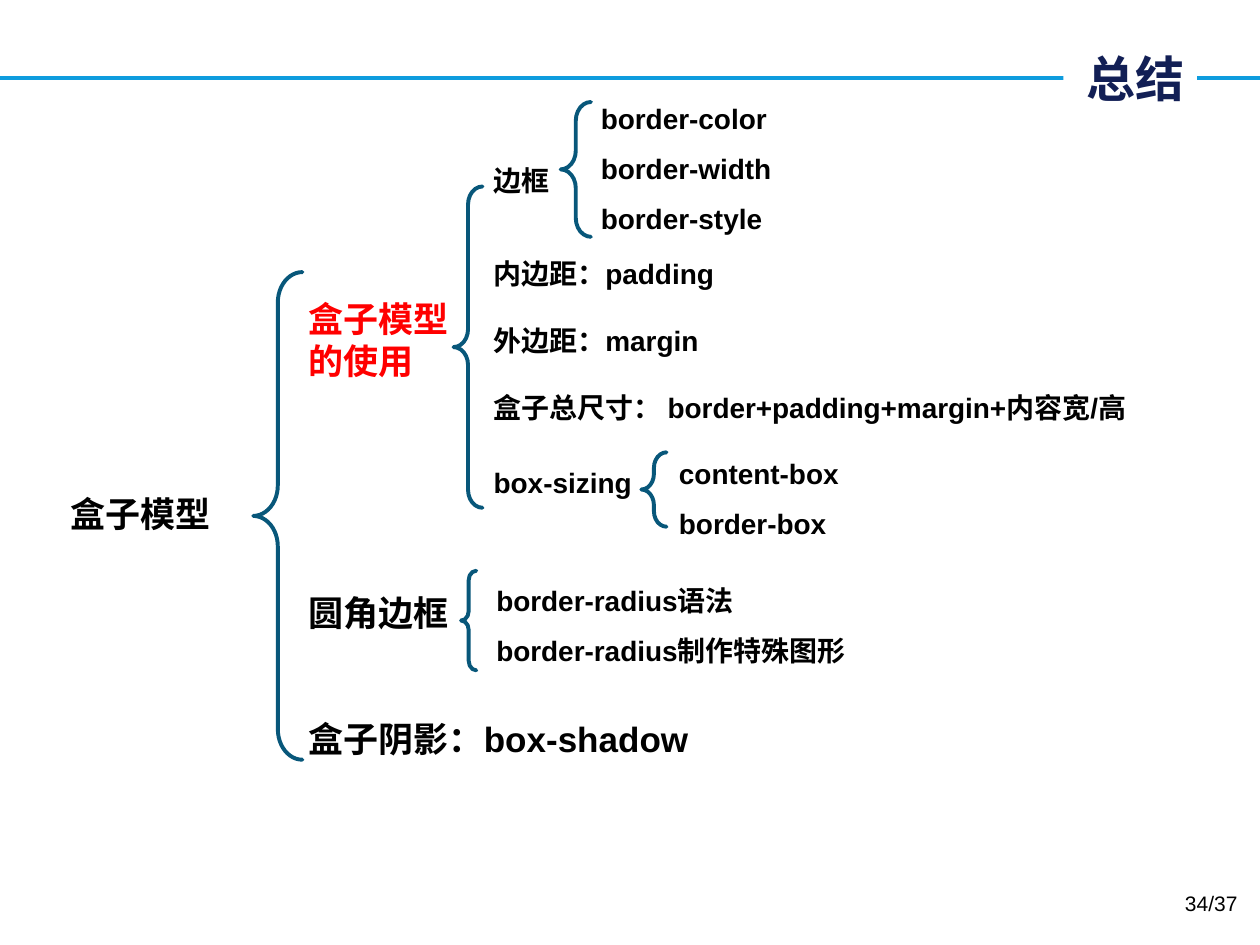
from lxml import etree
from pptx import Presentation
from pptx import util as u
from pptx.dml.color import RGBColor
from pptx.enum import shapes, text
from pptx.oxml.ns import qn

BLACK = RGBColor(0x00, 0x00, 0x00)
WHITE = RGBColor(0xFF, 0xFF, 0xFF)
RED = RGBColor(0xFF, 0x00, 0x00)
NAVY = RGBColor(0x12, 0x1F, 0x55)
SKY = RGBColor(0x0E, 0x9C, 0xDE)
TEAL = RGBColor(0x08, 0x57, 0x7A)
LATIN, CHINESE = "Arial", "Noto Sans CJK SC"
LEFT, CENTER, RIGHT = text.PP_ALIGN.LEFT, text.PP_ALIGN.CENTER, text.PP_ALIGN.RIGHT
STROKE = u.Pt(2.25)


def place(box, at):
    """Set left, top, width and height of a box in inches."""
    for name, value in zip(("left", "top", "width", "height"), at):
        setattr(box, name, u.Inches(value))


class MindMap:
    """Holds the style and the current slide."""

    def __init__(self, deck):
        self.page = deck.slides.add_slide(deck.slide_layouts[5])

    def add_span(self, para, words, size, color=BLACK, bold=True, font=LATIN):
        """Add one formatted span to a paragraph."""
        span = para.add_run()
        span.text = words
        style = {"name": font, "size": u.Pt(size), "bold": bold}
        for name, value in style.items():
            setattr(span.font, name, value)
        span.font.color.rgb = color
        east_asian = etree.SubElement(span.font._element, qn("a:ea"))
        east_asian.set("typeface", CHINESE)

    def title(self, words, at):
        """Format the title placeholder as a white label on the rule."""
        box = self.page.shapes.title
        place(box, at)
        box.fill.solid()
        box.fill.fore_color.rgb = WHITE
        frame = box.text_frame
        frame.auto_size = text.MSO_AUTO_SIZE.NONE
        frame.vertical_anchor = text.MSO_ANCHOR.MIDDLE
        para = frame.paragraphs[0]
        para.alignment = RIGHT
        self.add_span(para, words, 28, NAVY, font=CHINESE)

    def rule(self, y):
        """Draw the full-width rule behind the title."""
        line = self.page.shapes.add_connector(
            shapes.MSO_CONNECTOR.STRAIGHT, 0, u.Inches(y), u.Inches(10), u.Inches(y))
        line.line.color.rgb = SKY
        line.line.width = STROKE
        etree.SubElement(line.element.spPr, qn("a:effectLst"))
        self.page.shapes.title.element.addprevious(line.element)

    def brace(self, *at):
        """Draw an opening brace."""
        box = self.page.shapes.add_shape(
            shapes.MSO_SHAPE.LEFT_BRACE, *(u.Inches(value) for value in at))
        box.adjustments[0] = 0.62
        box.shadow.inherit = False
        box.fill.background()
        box.line.color.rgb = TEAL
        box.line.width = STROKE
        box.element.spPr.get_or_add_ln().set("cap", "rnd")

    def lines(self, at, entries, size=16, spacing=1.0, align=LEFT, bold=True):
        """Add a text box; an entry is words, space before in points, colour."""
        box = self.page.shapes.add_textbox(*(u.Inches(value) for value in at))
        frame = box.text_frame
        frame.word_wrap = True
        for index, (words, gap, color) in enumerate(entries):
            para = frame.add_paragraph() if index else frame.paragraphs[0]
            style = {"alignment": align, "line_spacing": spacing,
                     "space_before": u.Pt(gap)}
            for name, value in style.items():
                setattr(para, name, value)
            self.add_span(para, words, size, color, bold)

    def options(self, at, *names):
        """Add a widely spaced list of leaf entries."""
        self.lines(at, [(name, 0, BLACK) for name in names], spacing=1.5)


def main():
    """Build the summary slide."""
    deck = Presentation()
    deck.slide_width, deck.slide_height = u.Inches(10), u.Inches(7.5)
    chart = MindMap(deck)
    chart.title("总结", (8.44, 0.3, 1.06, 0.64))
    chart.rule(0.62)

    chart.lines((0.12, 3.86, 1.99, 0.44), [("盒子模型", 0, BLACK)], 20, align=CENTER)
    chart.lines((2.35, 2.31, 5.48, 3.8), [
        ("盒子模型", 0, RED), ("的使用", 0, RED),
        ("圆角边框", 120, BLACK), ("盒子阴影：box-shadow", 48, BLACK)], 20)
    chart.lines((3.82, 1.25, 5.44, 2.79), [
        ("边框", 0, BLACK), ("内边距：padding", 34, BLACK),
        ("外边距：margin", 19, BLACK),
        ("盒子总尺寸： border+padding+margin+内容宽/高", 19, BLACK),
        ("box-sizing", 24, BLACK)])

    chart.options((4.67, 0.62, 2.22, 1.31),
                  "border-color", "border-width", "border-style")
    chart.options((5.29, 3.44, 2.55, 0.86), "content-box", "border-box")
    chart.options((3.84, 4.45, 3.21, 0.86),
                  "border-radius语法", "border-radius制作特殊图形")

    for at in ((2.01, 2.16, 0.39, 3.87), (3.6, 1.48, 0.23, 2.55),
               (4.45, 0.81, 0.24, 1.07), (5.09, 3.59, 0.2, 0.59),
               (3.66, 4.53, 0.12, 0.79)):
        chart.brace(*at)
    chart.lines((7.59, 7.02, 2.33, 0.4), [("34/37", 0, BLACK)], 12,
                align=RIGHT, bold=False)
    deck.save("out.pptx")


main()
